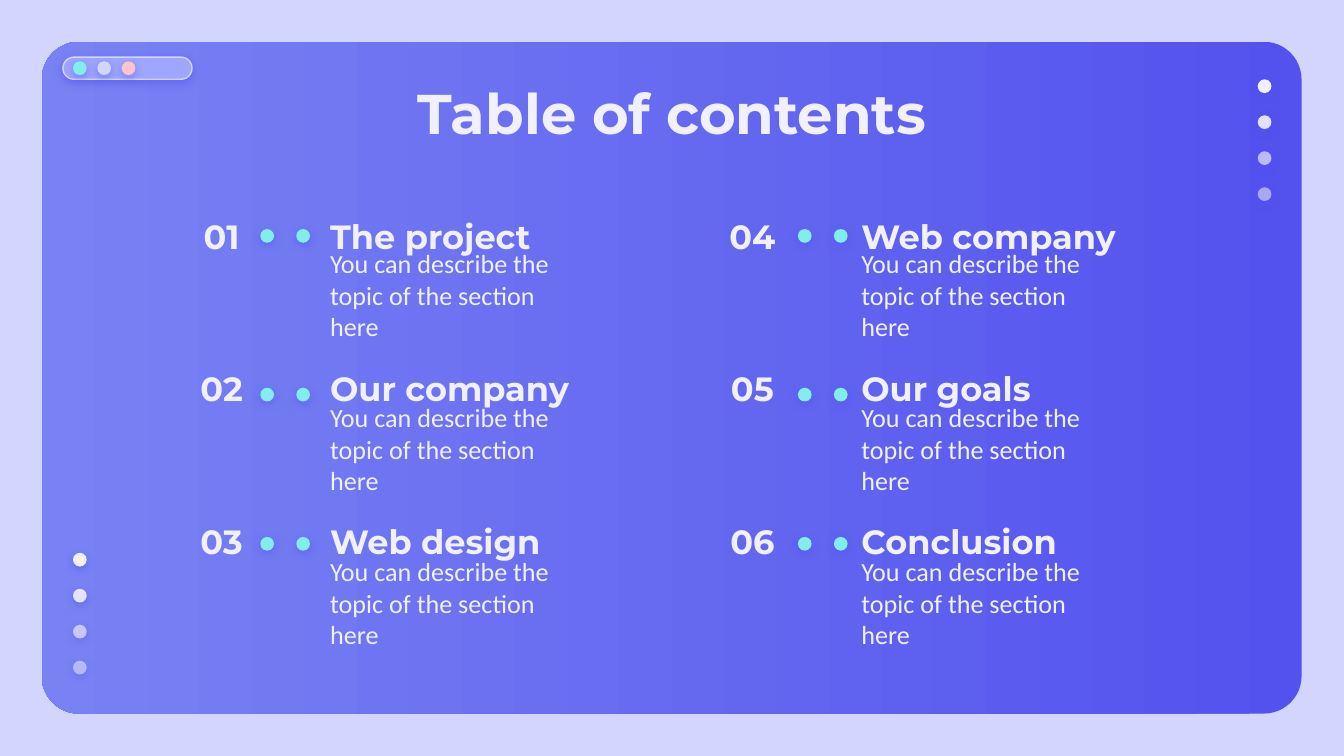
from dataclasses import dataclass

from lxml.etree import SubElement
from pptx import Presentation
from pptx.dml.color import RGBColor
from pptx.enum.shapes import MSO_SHAPE
from pptx.enum.text import MSO_ANCHOR, PP_ALIGN
from pptx.oxml.ns import qn
from pptx.shapes.autoshape import Shape
from pptx.slide import Slide
from pptx.util import Cm, Pt

INK = "F1F0FF"
DEEP = "5352EE"
PALE = "D2D6FF"
MINT = "81EEEB"
DOT = 0.26
GAP = 0.68
FADE = (100, 90, 67, 54)
BLURB = "You can describe the topic of the section here"


@dataclass
class Box:
    left: float
    top: float
    width: float
    height: float


@dataclass
class Style:
    size: float
    font: str = "Montserrat"
    bold: bool = True
    align: PP_ALIGN = PP_ALIGN.LEFT
    anchor: MSO_ANCHOR = MSO_ANCHOR.MIDDLE


@dataclass
class Column:
    number: float
    dots: float
    text: float
    heads: tuple[str, ...]


@dataclass
class Row:
    head: float
    blurb: float
    dots: float


TITLE = Style(30, align=PP_ALIGN.CENTER, anchor=MSO_ANCHOR.TOP)
NUMBER = Style(18, align=PP_ALIGN.CENTER)
HEAD = Style(18)
BODY = Style(14, "Calibri", False)

COLUMNS = (
    Column(2.97, 4.92, 5.99, ("The project", "Our company", "Web design")),
    Column(13, 15.08, 16.03, ("Web company", "Our goals", "Conclusion")),
)
ROWS = (Row(4.11, 4.9, 4.33), Row(6.99, 7.81, 7.33), Row(9.88, 10.72, 10.15))


def color(code: str) -> RGBColor:
    return RGBColor.from_string(code)


def place(box: Box) -> tuple[Cm, Cm, Cm, Cm]:
    return Cm(box.left), Cm(box.top), Cm(box.width), Cm(box.height)


def add_form(slide: Slide, kind: MSO_SHAPE, box: Box) -> Shape:
    form = slide.shapes.add_shape(kind, *place(box))
    form.shadow.inherit = False
    form.line.fill.background()
    return form


def paint(form: Shape, code: str, alpha: int = 100) -> None:
    form.fill.solid()
    form.fill.fore_color.rgb = color(code)
    if alpha < 100:
        tint = form._element.spPr.find(qn("a:solidFill"))[0]
        SubElement(tint, qn("a:alpha"), val=str(alpha * 1000))


def add_glow(form: Shape) -> None:
    effects = form._element.spPr.find(qn("a:effectLst"))
    glow = SubElement(
        effects, qn("a:outerShdw"), blurRad=str(Pt(4.5)), dist=str(Pt(1.5)),
        dir="5400000", algn="bl", rotWithShape="0",
    )
    tint = SubElement(glow, qn("a:srgbClr"), val=DEEP)
    SubElement(tint, qn("a:alpha"), val="50000")


def add_dot(slide: Slide, left: float, top: float, code: str, alpha: int = 100) -> None:
    dot = add_form(slide, MSO_SHAPE.OVAL, Box(left, top, DOT, DOT))
    paint(dot, code, alpha)
    add_glow(dot)


def add_text(slide: Slide, box: Box, words: str, style: Style) -> None:
    frame = slide.shapes.add_textbox(*place(box)).text_frame
    frame.word_wrap = True
    frame.vertical_anchor = style.anchor
    frame.margin_left = frame.margin_right = Cm(0.25)
    frame.margin_top = frame.margin_bottom = Cm(0.25)
    line = frame.paragraphs[0]
    line.alignment = style.align
    run = line.add_run()
    run.text = words
    run.font.size = Pt(style.size)
    run.font.name = style.font
    run.font.bold = style.bold
    run.font.color.rgb = color(INK)


def add_frame(slide: Slide) -> None:
    slide.background.fill.solid()
    slide.background.fill.fore_color.rgb = color(PALE)
    panel = add_form(slide, MSO_SHAPE.ROUNDED_RECTANGLE, Box(0.79, 0.79, 23.81, 12.7))
    panel.adjustments[0] = 0.056
    panel.fill.gradient()
    panel.fill.gradient_angle = 180
    for stop, code in zip(panel.fill.gradient_stops, (DEEP, "7882F3")):
        stop.color.rgb = color(code)

    pill = add_form(slide, MSO_SHAPE.ROUNDED_RECTANGLE, Box(1.19, 1.08, 2.44, 0.42))
    pill.adjustments[0] = 0.5
    paint(pill, "9EA6FF")
    pill.line.color.rgb = color(PALE)
    pill.line.width = Pt(0.75)
    add_glow(pill)
    for step, code in enumerate((MINT, PALE, "FFC3D0")):
        add_dot(slide, 1.38 + step * 0.46, 1.16, code)
    for left, top in ((23.77, 1.5), (1.38, 10.45)):
        for step, alpha in enumerate(FADE):
            add_dot(slide, left, top + step * GAP, INK, alpha)


def add_entry(slide: Slide, column: Column, row: Row, number: int, head: str) -> None:
    add_text(slide, Box(column.number, row.head, 2.44, 0.69), f"{number:02}", NUMBER)
    add_text(slide, Box(column.text, row.head, 6.4, 0.69), head, HEAD)
    add_text(slide, Box(column.text, row.blurb, 5.18, 1.35), BLURB, BODY)
    for step in range(2):
        add_dot(slide, column.dots + step * GAP, row.dots, MINT)


def main() -> None:
    deck = Presentation()
    deck.slide_width = Cm(25.4)
    deck.slide_height = Cm(14.29)
    slide = deck.slides.add_slide(deck.slide_layouts[6])
    add_frame(slide)
    add_text(slide, Box(2, 1.24, 21.4, 1.6), "Table of contents", TITLE)
    number = 1
    for column in COLUMNS:
        for row, head in zip(ROWS, column.heads):
            add_entry(slide, column, row, number, head)
            number += 1
    deck.save("out.pptx")


if __name__ == "__main__":
    main()
